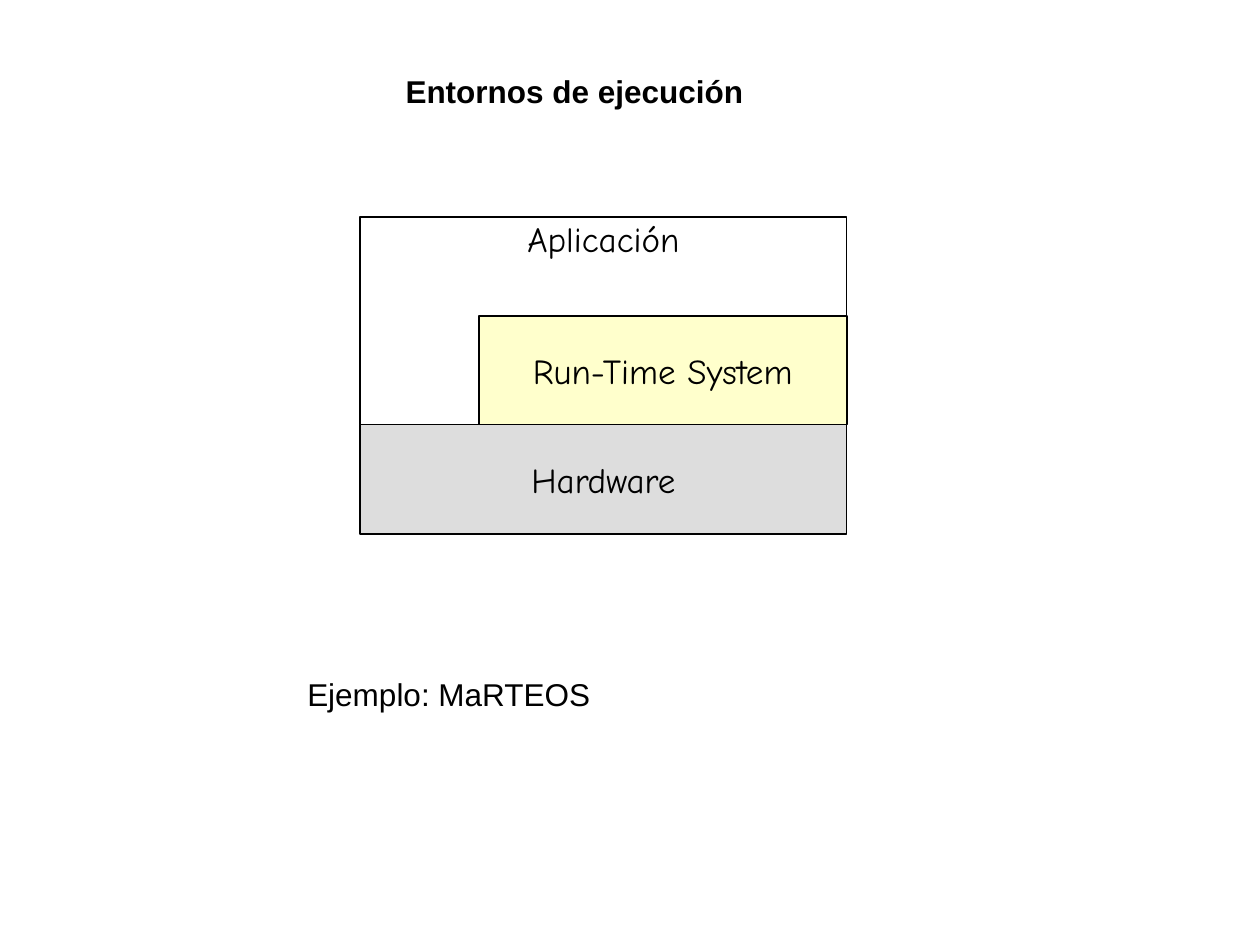
from typing import NamedTuple

from pptx import Presentation
from pptx.dml.color import RGBColor
from pptx.enum.shapes import MSO_SHAPE
from pptx.enum.text import MSO_ANCHOR, MSO_AUTO_SIZE, PP_ALIGN
from pptx.shapes.autoshape import Shape
from pptx.shapes.shapetree import GroupShapes, SlideShapes
from pptx.util import Inches, Pt

BLACK = RGBColor(0x00, 0x00, 0x00)
GREY = RGBColor(0xDD, 0xDD, 0xDD)
YELLOW = RGBColor(0xFF, 0xFF, 0xCC)

COLUMN_EDGES = (2.86, 3.8, 6.72)
ROW_EDGES = (1.72, 2.51, 3.37, 4.24)

LAYER_FONT = {"name": "Comic Neue", "size": Pt(20), "bold": False}
TITLE_FONT = {"name": "Arial", "size": Pt(18), "bold": True}
BODY_FONT = {**TITLE_FONT, "bold": False}
LAYER_FRAME = {
    "margin_left": Inches(0.06),
    "margin_right": Inches(0.06),
    "margin_top": Inches(0.01),
    "margin_bottom": Inches(0.01),
    "word_wrap": True,
}


class Layer(NamedTuple):
    text: str
    first_column: int
    first_row: int
    last_row: int
    fill: RGBColor | None
    anchor: MSO_ANCHOR


class Label(NamedTuple):
    text: str
    left: float
    top: float
    width: float
    font: dict
    wrap: bool


LAYERS = (
    Layer("Hardware", 0, 2, 3, GREY, MSO_ANCHOR.MIDDLE),
    Layer("Run-Time System", 1, 1, 2, YELLOW, MSO_ANCHOR.MIDDLE),
    Layer("Aplicación", 0, 0, 2, None, MSO_ANCHOR.TOP),
)
LABELS = (
    Label("Entornos de ejecución", 3.12, 0.52, 2.88, TITLE_FONT, False),
    Label("Ejemplo: MaRTEOS", 2.34, 5.31, 4.45, BODY_FONT, True),
)


def write(box: Shape, text: str, font: dict, align: PP_ALIGN) -> None:
    para = box.text_frame.paragraphs[0]
    para.alignment = align
    span = para.add_run()
    span.text = text
    span.font.color.rgb = BLACK
    for name, value in font.items():
        setattr(span.font, name, value)


def draw_layer(shapes: GroupShapes, layer: Layer) -> None:
    left, right = COLUMN_EDGES[layer.first_column], COLUMN_EDGES[-1]
    top, bottom = ROW_EDGES[layer.first_row], ROW_EDGES[layer.last_row]
    box = shapes.add_shape(
        MSO_SHAPE.RECTANGLE,
        Inches(left), Inches(top), Inches(right - left), Inches(bottom - top),
    )
    box.shadow.inherit = False
    box.line.color.rgb = BLACK
    box.line.width = Pt(1)
    if layer.fill is None:
        box.fill.background()
    else:
        box.fill.solid()
        box.fill.fore_color.rgb = layer.fill
    for name, value in {**LAYER_FRAME, "vertical_anchor": layer.anchor}.items():
        setattr(box.text_frame, name, value)
    write(box, layer.text, LAYER_FONT, PP_ALIGN.CENTER)


def draw_label(shapes: SlideShapes, label: Label) -> None:
    box = shapes.add_textbox(
        Inches(label.left), Inches(label.top), Inches(label.width), Inches(0.4)
    )
    box.text_frame.word_wrap = label.wrap
    box.text_frame.auto_size = MSO_AUTO_SIZE.SHAPE_TO_FIT_TEXT
    write(box, label.text, label.font, PP_ALIGN.LEFT)


def main() -> None:
    deck = Presentation()
    deck.slide_width, deck.slide_height = Inches(10), Inches(7.5)
    page = deck.slides.add_slide(deck.slide_layouts[6])
    stack = page.shapes.add_group_shape()
    for layer in LAYERS:
        draw_layer(stack.shapes, layer)
    for label in LABELS:
        draw_label(page.shapes, label)
    deck.save("out.pptx")


if __name__ == "__main__":
    main()
